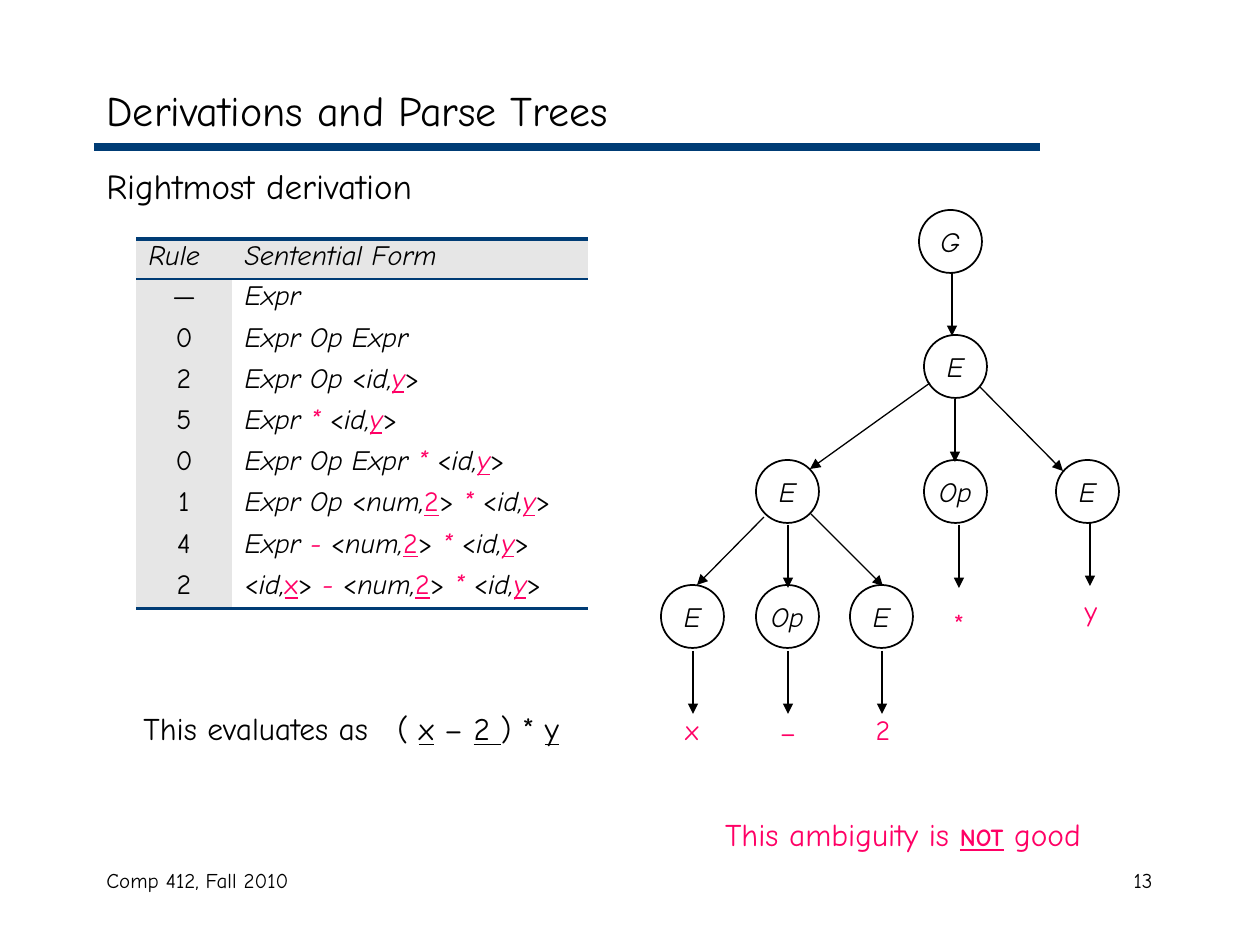
from lxml.etree import SubElement
from pptx import Presentation
from pptx.dml.color import RGBColor
from pptx.enum.shapes import MSO_CONNECTOR, MSO_SHAPE
from pptx.enum.text import MSO_ANCHOR, MSO_AUTO_SIZE, PP_ALIGN
from pptx.oxml.ns import qn
from pptx.util import Emu, Pt

PX_PER_INCH = 126
FONT = "Comic Neue"
COLORS = {"text": "000000", "navy": "003C75", "pink": "FF0065",
          "gray": "E6E6E6", "white": "FFFFFF"}

# Run formats used in the derivation
ITALIC = {"italic": True}
UNDERLINE = {"underline": True}
OPERATOR = {"color": "pink", "italic": True}
VALUE = {"color": "pink", "underline": True}


def token(kind, value, gap="", **style):
    """Runs of one terminal such as <id,y>."""
    return ["<", (kind + ",", ITALIC), (value, {**VALUE, **style}), ">" + gap]


ID_X = token("id", "x", " ")
ID_Y = token("id", "y", italic=True)
NUM_2 = token("num", "2", " ")
MINUS, TIMES = ("- ", OPERATOR), ("* ", OPERATOR)

DERIVATION = [
    ("—", [("Expr", ITALIC)]),
    ("0", [("Expr Op Expr", ITALIC)]),
    ("2", [("Expr Op ", ITALIC), *ID_Y]),
    ("5", [("Expr ", ITALIC), TIMES, *ID_Y]),
    ("0", [("Expr Op Expr ", ITALIC), TIMES, *ID_Y]),
    ("1", [("Expr Op ", ITALIC), *NUM_2, TIMES, *ID_Y]),
    ("4", [("Expr ", ITALIC), MINUS, *NUM_2, TIMES, *ID_Y]),
    ("2", [*ID_X, MINUS, *NUM_2, TIMES, *ID_Y]),
]

# Parse tree: nodes by left edge and level
NODE_SIZE, TREE_TOP, LEVEL_STEP, DROP = 63, 210, 125, 63
NODES = [("G", 919, 0), ("E", 924, 1),
         ("E", 756, 2), ("Op", 924, 2), ("E", 1056, 2),
         ("E", 661, 3), ("Op", 756, 3), ("E", 850, 3)]
# Start points of the vertical arrows, then the slanted arrows
DROPS = [(952, 273), (955, 399), (788, 525), (959, 525), (1090, 523),
         (693, 651), (788, 651), (882, 651)]
BRANCHES = [(930, 383, 810, 469), (980, 387, 1063, 471),
            (764, 517, 697, 585), (811, 514, 883, 586)]
# Leaf symbols by centre and top
LEAVES = [("x", 692, 706), ("–", 788, 708), ("2", 883, 706),
          ("*", 959, 600), ("y", 1091, 587)]


def px(length):
    return Emu(round(length * 914400 / PX_PER_INCH))


def rgb(name):
    return RGBColor.from_string(COLORS[name])


def write(frame, runs, size=16, color="text", align=PP_ALIGN.LEFT, bold=False,
          italic=False, underline=False, anchor=None, wrap=True,
          line_spacing=None, tab=None):
    """Fill a text frame with one paragraph; a run may override the format."""
    if wrap is not None:
        frame.word_wrap = wrap
    if anchor is not None:
        frame.vertical_anchor = anchor
    paragraph = frame.paragraphs[0]
    if tab:
        tabs = SubElement(paragraph._p.get_or_add_pPr(), qn("a:tabLst"))
        SubElement(tabs, qn("a:tab"), pos=str(px(tab)), algn="l")
    paragraph.alignment = align
    paragraph.space_before = Pt(0)
    if line_spacing:
        paragraph.line_spacing = line_spacing
    base = {"size": size, "color": color, "bold": bold, "italic": italic,
            "underline": underline}
    for item in [runs] if isinstance(runs, str) else runs:
        text, override = (item, {}) if isinstance(item, str) else item
        style = {**base, **override}
        run = paragraph.add_run()
        run.text = text
        run.font.name = FONT
        run.font.size = Pt(style["size"])
        run.font.color.rgb = rgb(style["color"])
        run.font.bold = style["bold"]
        run.font.italic = style["italic"]
        run.font.underline = style["underline"]


def add_text(slide, left, top, width, height, runs, **style):
    box = slide.shapes.add_textbox(px(left), px(top), px(width), px(height))
    write(box.text_frame, runs, **style)


def add_title(slide, text):
    title = slide.shapes.title
    title.left, title.top = px(94), px(73)
    title.width, title.height = px(1071), px(73)
    title.text_frame.auto_size = MSO_AUTO_SIZE.NONE
    write(title.text_frame, text, size=24, anchor=MSO_ANCHOR.MIDDLE)


def add_line(slide, x1, y1, x2, y2, color="text", width=0.75, arrow=True):
    line = slide.shapes.add_connector(
        MSO_CONNECTOR.STRAIGHT, px(x1), px(y1), px(x2), px(y2))
    line.line.color.rgb = rgb(color)
    line.line.width = Pt(width)
    properties = line._element.spPr
    if arrow:
        SubElement(properties.find(qn("a:ln")), qn("a:tailEnd"), type="triangle")
    SubElement(properties, qn("a:effectLst"))


def add_node(slide, label, left, level):
    node = slide.shapes.add_shape(
        MSO_SHAPE.OVAL, px(left), px(TREE_TOP + level * LEVEL_STEP),
        px(NODE_SIZE), px(NODE_SIZE))
    node.shadow.inherit = False
    node.fill.background()
    node.line.color.rgb = rgb("text")
    node.line.width = Pt(1)
    write(node.text_frame, label, italic=True, align=PP_ALIGN.CENTER,
          anchor=MSO_ANCHOR.MIDDLE, wrap=False)


def format_cell(cell, fill, top=0, bottom=0):
    """Set the fill and the rules above and below, in points."""
    properties = cell._tc.get_or_add_tcPr()
    for side, width in zip("LRTB", (0, 0, top, bottom)):
        border = SubElement(properties, qn("a:ln" + side), w=str(Pt(width)))
        if width:
            solid = SubElement(border, qn("a:solidFill"))
            SubElement(solid, qn("a:srgbClr"), val=COLORS["navy"])
        else:
            SubElement(border, qn("a:noFill"))
    cell.fill.solid()
    cell.fill.fore_color.rgb = rgb(fill)


def add_derivation_table(slide):
    rows = [("Rule", [("Sentential Form", ITALIC)])] + DERIVATION
    last = len(rows) - 1
    header_height, body_height = 40, 330
    table = slide.shapes.add_table(
        len(rows), 2, px(136), px(239), px(452),
        px(header_height + body_height)).table
    table.first_row = table.horz_banding = False
    table.columns[0].width, table.columns[1].width = px(96), px(356)
    for index, (rule, form) in enumerate(rows):
        header = index == 0
        table.rows[index].height = px(
            header_height if header else body_height / last)
        top = {0: 2.25, 1: 1}.get(index, 0)
        bottom = {0: 1, last: 2.25}.get(index, 0)
        rule_cell, form_cell = table.cell(index, 0), table.cell(index, 1)
        format_cell(rule_cell, "gray", top, bottom)
        format_cell(form_cell, "gray" if header else "white", top, bottom)
        write(rule_cell.text_frame, rule, italic=header, wrap=None,
              align=PP_ALIGN.LEFT if header else PP_ALIGN.CENTER,
              line_spacing=0.8)
        write(form_cell.text_frame, form, wrap=None, line_spacing=0.8)


def add_parse_tree(slide):
    for x, y in DROPS:
        add_line(slide, x, y, x, y + DROP)
    for branch in BRANCHES:
        add_line(slide, *branch)
    for node in NODES:
        add_node(slide, *node)
    for symbol, center, top in LEAVES:
        add_text(slide, center - 31, top, 62, 47, symbol, color="pink",
                 align=PP_ALIGN.CENTER)


def main():
    presentation = Presentation()
    presentation.slide_width, presentation.slide_height = px(1260), px(945)
    slide = presentation.slides.add_slide(presentation.slide_layouts[5])

    # Heading
    add_line(slide, 94, 147, 1040, 147, color="navy", width=4.5, arrow=False)
    add_title(slide, "Derivations and Parse Trees")
    add_text(slide, 94, 158, 1071, 60, "Rightmost derivation", size=20)

    # Derivation and its tree
    add_derivation_table(slide)
    add_parse_tree(slide)

    # Conclusions
    add_text(slide, 131, 703, 460, 50,
             ["This evaluates as\t( ", ("x", UNDERLINE), " – ",
              ("2 ", UNDERLINE), ") * ", ("y", UNDERLINE)], size=18, tab=254)
    add_text(slide, 651, 809, 504, 50,
             ["This ambiguity is ",
              ("NOT", {"size": 14, "bold": True, "underline": True}), " good"],
             size=18, color="pink", align=PP_ALIGN.CENTER)

    # Footer
    add_text(slide, 94, 861, 399, 63, "Comp 412, Fall 2010", size=12)
    add_text(slide, 903, 861, 262, 63, "13", size=12, align=PP_ALIGN.RIGHT)

    presentation.save("out.pptx")


if __name__ == "__main__":
    main()
